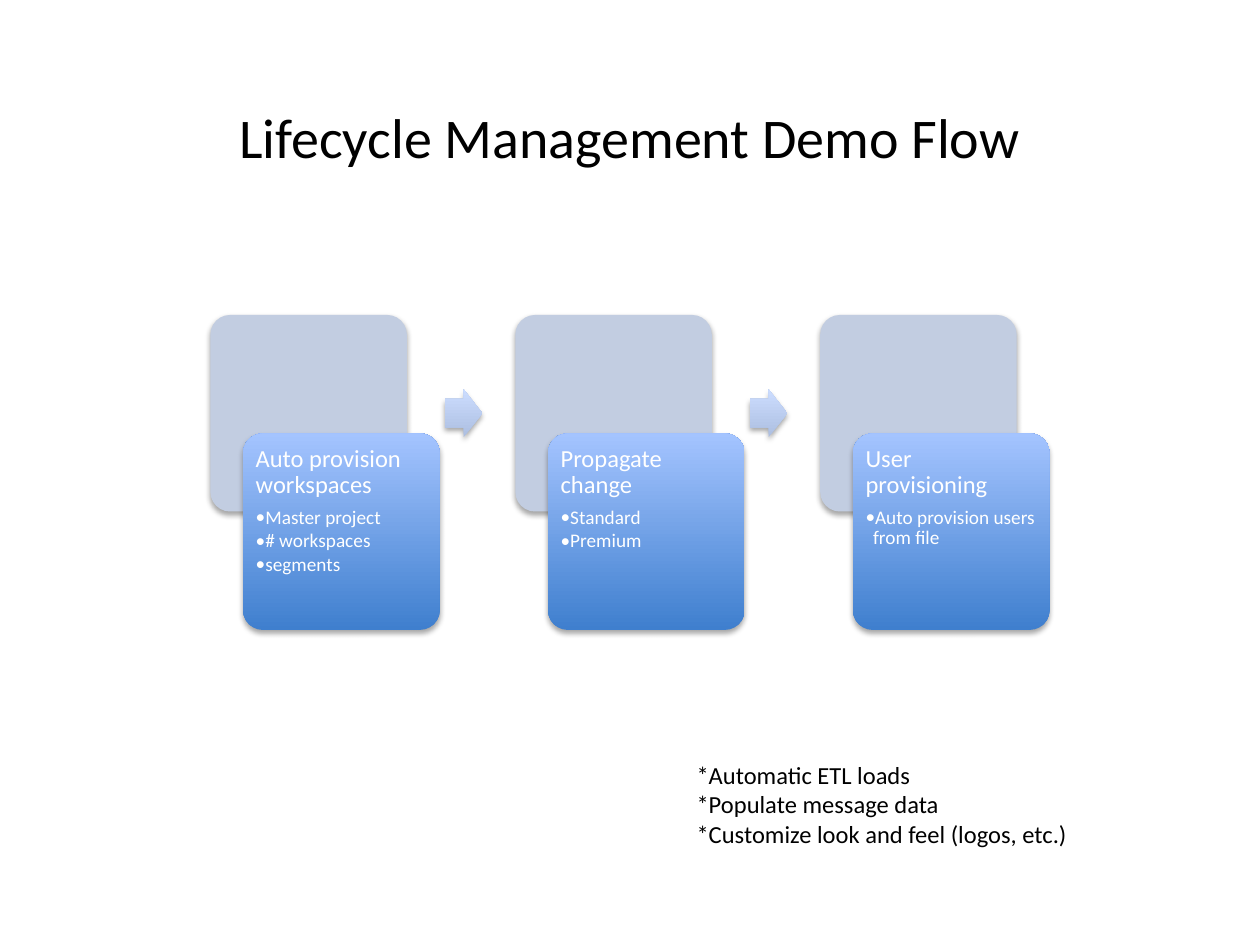
from lxml import etree
from pptx import Presentation
from pptx.dml.color import RGBColor
from pptx.enum.shapes import MSO_SHAPE
from pptx.enum.text import MSO_ANCHOR, PP_ALIGN
from pptx.oxml.ns import qn
from pptx.util import Inches, Pt

ROUND = MSO_SHAPE.ROUNDED_RECTANGLE
ARROW = MSO_SHAPE.RIGHT_ARROW
TOP, MIDDLE = MSO_ANCHOR.TOP, MSO_ANCHOR.MIDDLE
LEFT, CENTER = PP_ALIGN.LEFT, PP_ALIGN.CENTER

FONT = "Calibri"
BLACK, WHITE = "000000", "FFFFFF"
BACK = "C2CDE1"
CARD = ("3F7FCE", "A4C4FF")
LINK = ("ADBFE1", "CCDDFF")

START, PITCH, SIDE = 1.67, 2.42, 1.56
STEPS = [
    ("Auto provision workspaces", ["Master project", "# workspaces", "segments"]),
    ("Propagate change", ["Standard", "Premium"]),
    ("User provisioning", ["Auto provision users from file"]),
]
NOTES = [
    "*Automatic ETL loads",
    "*Populate message data",
    "*Customize look and feel (logos, etc.)",
]


def color(code):
    return RGBColor.from_string(code)


def add_run(para, text, size, code):
    run = para.add_run()
    run.text = text
    run.font.name = FONT
    run.font.size = Pt(size)
    run.font.color.rgb = color(code)


def add_para(frame, first, align=LEFT):
    para = frame.paragraphs[0] if first else frame.add_paragraph()
    para.alignment = align
    return para


def add_text(slide, box, lines, size, align=LEFT, anchor=TOP):
    shape = slide.shapes.add_textbox(*map(Inches, box))
    frame = shape.text_frame
    frame.word_wrap = True
    frame.vertical_anchor = anchor
    for i, line in enumerate(lines):
        add_run(add_para(frame, i == 0, align), line, size, BLACK)


def add_shadow(shape):
    shape.shadow.inherit = False
    effects = shape._element.spPr.find(qn("a:effectLst"))
    outer = etree.SubElement(effects, qn("a:outerShdw"), blurRad=str(Pt(3.1)),
                             dist=str(Pt(1.8)), dir="5400000", rotWithShape="0")
    tint = etree.SubElement(outer, qn("a:srgbClr"), val=BLACK)
    etree.SubElement(tint, qn("a:alpha"), val="35000")


def add_block(slide, kind, box, fill, adjust):
    shape = slide.shapes.add_shape(kind, *map(Inches, box))
    for i, value in enumerate(adjust):
        shape.adjustments[i] = value
    if isinstance(fill, str):
        shape.fill.solid()
        shape.fill.fore_color.rgb = color(fill)
    else:
        # Gradient runs from bottom to top
        shape.fill.gradient()
        shape.fill.gradient_angle = 90
        for stop, code in zip(shape.fill.gradient_stops, fill):
            stop.color.rgb = color(code)
    shape.line.fill.background()
    add_shadow(shape)
    return shape


def add_bullet(para):
    props = para._p.get_or_add_pPr()
    props.set("marL", str(Inches(0.06)))
    props.set("indent", str(Inches(-0.06)))
    etree.SubElement(props, qn("a:buFont"), typeface=FONT)
    etree.SubElement(props, qn("a:buChar"), char="•")


def fill_card(slide, box, head, items):
    shape = slide.shapes.add_textbox(*map(Inches, box))
    frame = shape.text_frame
    frame.word_wrap = True
    frame.vertical_anchor = TOP
    frame.margin_left = frame.margin_right = Inches(0.06)
    frame.margin_top = frame.margin_bottom = Inches(0.06)
    for i, text in enumerate([head] + items):
        para = add_para(frame, i == 0)
        para.line_spacing = 0.9
        para.space_after = Pt(1.65 if i else 4.9)
        if i:
            para.level = 1
            add_bullet(para)
        add_run(para, text, 11 if i else 14, WHITE)


def add_step(slide, left, head, items):
    add_block(slide, ROUND, (left, 2.5, SIDE, SIDE), BACK, [0.1])
    add_block(slide, ROUND, (left + 0.26, 3.44, SIDE, SIDE), CARD, [0.1])
    fill_card(slide, (left + 0.3, 3.48, 1.47, 1.47), head, items)


def main():
    prs = Presentation()
    prs.slide_width, prs.slide_height = Inches(10), Inches(7.5)
    slide = prs.slides.add_slide(prs.slide_layouts[6])

    # Title
    add_text(slide, (0.75, 0.28, 8.5, 1.6), ["Lifecycle Management Demo Flow"],
             32, CENTER, MIDDLE)

    # Steps, with an arrow between neighbours
    for i, (head, items) in enumerate(STEPS):
        left = START + i * PITCH
        add_step(slide, left, head, items)
        if i < len(STEPS) - 1:
            add_block(slide, ARROW, (left + 1.86, 3.09, 0.3, 0.38), LINK, [0.6, 0.5])

    # Side notes
    add_text(slide, (5.43, 5.98, 4.57, 0.81), NOTES, 14)

    prs.save("out.pptx")


main()
